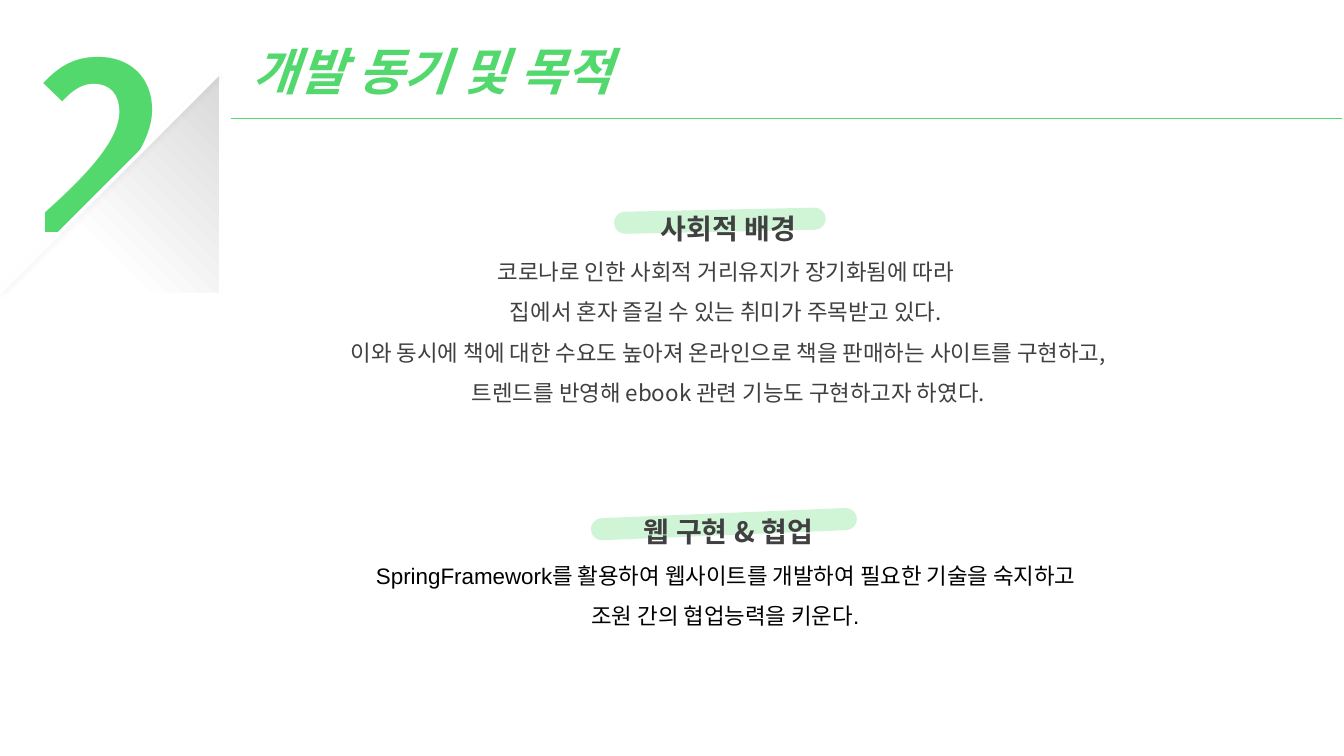
from lxml import etree
from pptx import Presentation
from pptx.dml.color import RGBColor
from pptx.enum.shapes import MSO_CONNECTOR, MSO_SHAPE
from pptx.enum.text import MSO_AUTO_SIZE, PP_ALIGN
from pptx.oxml import parse_xml
from pptx.oxml.ns import qn
from pptx.util import Inches, Pt

STRAIGHT = MSO_CONNECTOR.STRAIGHT
OVAL, TRIANGLE = MSO_SHAPE.OVAL, MSO_SHAPE.RIGHT_TRIANGLE
GROW = MSO_AUTO_SIZE.SHAPE_TO_FIT_TEXT
CENTER, LEFT = PP_ALIGN.CENTER, PP_ALIGN.LEFT
GREEN = RGBColor(0x53, 0xD8, 0x6D)
GRAY = RGBColor(0x40, 0x40, 0x40)
BLACK = RGBColor(0, 0, 0)
WHITE = RGBColor(255, 255, 255)
SANS, ARIAL = "Noto Sans CJK KR", "Arial"
NAMESPACE = 'xmlns:a="http://schemas.openxmlformats.org/drawingml/2006/main"'
CORNER_GRADIENT = f"""<a:gradFill {NAMESPACE} rotWithShape="1"><a:gsLst>
<a:gs pos="0"><a:srgbClr val="D9D9D9"/></a:gs>
<a:gs pos="69000"><a:srgbClr val="FFFFFF"/></a:gs></a:gsLst>
<a:path path="circle"><a:fillToRect l="100000" b="100000"/></a:path></a:gradFill>"""
SOFT_EDGE = f'<a:effectLst {NAMESPACE}><a:softEdge rad="317500"/></a:effectLst>'
FOLD_SHADOW = f"""<a:effectLst {NAMESPACE}>
<a:outerShdw blurRad="50800" dist="12700" dir="2700000" algn="tl" rotWithShape="0">
<a:srgbClr val="000000"><a:alpha val="5000"/></a:srgbClr></a:outerShdw></a:effectLst>"""
NO_EFFECT = f"<a:effectLst {NAMESPACE}/>"

NUMBER = {"name": SANS, "size": Pt(166), "bold": True, "color": GREEN}
TITLE = {"name": ARIAL, "size": Pt(36), "bold": True, "italic": True, "color": GREEN}
HEADING = {"name": SANS, "size": Pt(20), "bold": True, "color": GRAY}
BODY = {"name": SANS, "size": Pt(16), "bold": False, "color": GRAY}
BLACK_BODY = {**BODY, "name": ARIAL, "color": BLACK}

SECTIONS = [
    ((2.34, 1.88, 9.77, 2.17), (3.86, 0.33, 5.74, 0.29), "사회적 배경", BODY, [
        "코로나로 인한 사회적 거리유지가 장기화됨에 따라 ",
        "집에서 혼자 즐길 수 있는 취미가 주목받고 있다. ",
        "이와 동시에 책에 대한 수요도 높아져 온라인으로 책을 판매하는 사이트를 구현하고,",
        "트렌드를 반영해 ebook 관련 기능도 구현하고자 하였다."]),
    ((2.34, 4.89, 9.77, 1.36), (3.63, 0.36, 6.05, 0.26), "웹 구현 & 협업", BLACK_BODY, [
        "SpringFramework를 활용하여 웹사이트를 개발하여 필요한 기술을 숙지하고 ",
        "조원 간의 협업능력을 키운다. "]),
]


def set_alpha(fill_parent, percent):
    """Make the solid fill under the given element partly transparent."""
    color = fill_parent.find(qn("a:solidFill"))[0]
    etree.SubElement(color, qn("a:alpha")).set("val", str(percent * 1000))


def add_line(shapes, start, end, color, width, effect=NO_EFFECT):
    """Draw a straight line between two points in inches."""
    line = shapes.add_connector(STRAIGHT, *map(Inches, (*start, *end)))
    line.line.color.rgb = color
    line.line.width = Pt(width)
    line._element.spPr.append(parse_xml(effect))
    return line


def add_text(shapes, box, lines, alignment, spacing=None, margin=0.05):
    """Place a text box holding (text, format) lines."""
    frame = shapes.add_textbox(*map(Inches, box)).text_frame
    frame.word_wrap = True
    frame.auto_size = GROW
    frame.margin_top = frame.margin_bottom = Inches(margin)
    for index, (text, formats) in enumerate(lines):
        paragraph = frame.add_paragraph() if index else frame.paragraphs[0]
        paragraph.alignment = alignment
        if spacing:
            paragraph.line_spacing = spacing
        run = paragraph.add_run()
        run.text = text
        for name, value in formats.items():
            if name == "color":
                run.font.color.rgb = value
            else:
                setattr(run.font, name, value)
        latin = run._r.rPr.find(qn("a:latin"))
        east_asian = etree.Element(qn("a:ea"))
        east_asian.set("typeface", SANS)
        latin.addnext(east_asian)


def add_number(slide, box):
    """Draw the section number with its folded corner."""
    left, top, side = box
    shapes = slide.shapes
    add_text(shapes, (left + 0.25, 0, 1.5, top + side), [("2", NUMBER)], CENTER, margin=0)
    shade = shapes.add_shape(OVAL, *map(Inches, (left + 0.72, top + 0.02, 0.81, 2.12)))
    shade.rotation = 45
    shade.fill.solid()
    shade.fill.fore_color.rgb = BLACK
    shade.line.fill.background()
    set_alpha(shade._element.spPr, 2)
    shade._element.spPr.append(parse_xml(SOFT_EDGE))
    fold = shapes.add_shape(TRIANGLE, *map(Inches, (left, top, side, side)))
    fold.rotation = 270
    fold.shadow.inherit = False
    fold.line.fill.background()
    fold._element.spPr.find(qn("a:prstGeom")).addnext(parse_xml(CORNER_GRADIENT))
    add_line(shapes, (left + side, top), (left, top + side), WHITE, 2.5, FOLD_SHADOW)


def add_title(slide, box):
    """Place the slide title over its rule."""
    left, top, width, height = box
    add_text(slide.shapes, box, [("개발 동기 및 목적", TITLE)], LEFT)
    rule = top + height + 0.11
    add_line(slide.shapes, (left - 0.12, rule), (13.31, rule), GREEN, 0.5)


def add_section(slide, box, marker, heading, body_format, body):
    """Group a highlighted heading with its centred lines."""
    left, top = box[:2]
    shapes = slide.shapes.add_group_shape().shapes
    x1, y1, x2, y2 = marker
    stroke = add_line(shapes, (left + x1, top + y1), (left + x2, top + y2), GREEN, 15.75)
    outline = stroke.line._get_or_add_ln()
    outline.set("cap", "rnd")
    set_alpha(outline, 27)
    lines = [(heading, HEADING)] + [(text, body_format) for text in body]
    add_text(shapes, box, lines, CENTER, 1.5)


def main():
    """Build and save the slide."""
    presentation = Presentation()
    presentation.slide_width = Inches(13.33)
    presentation.slide_height = Inches(7.5)
    slide = presentation.slides.add_slide(presentation.slide_layouts[6])
    add_number(slide, (0, 0.73, 2.17))
    add_title(slide, (2.41, 0.35, 5.69, 0.71))
    for section in SECTIONS:
        add_section(slide, *section)
    presentation.save("out.pptx")


if __name__ == "__main__":
    main()
